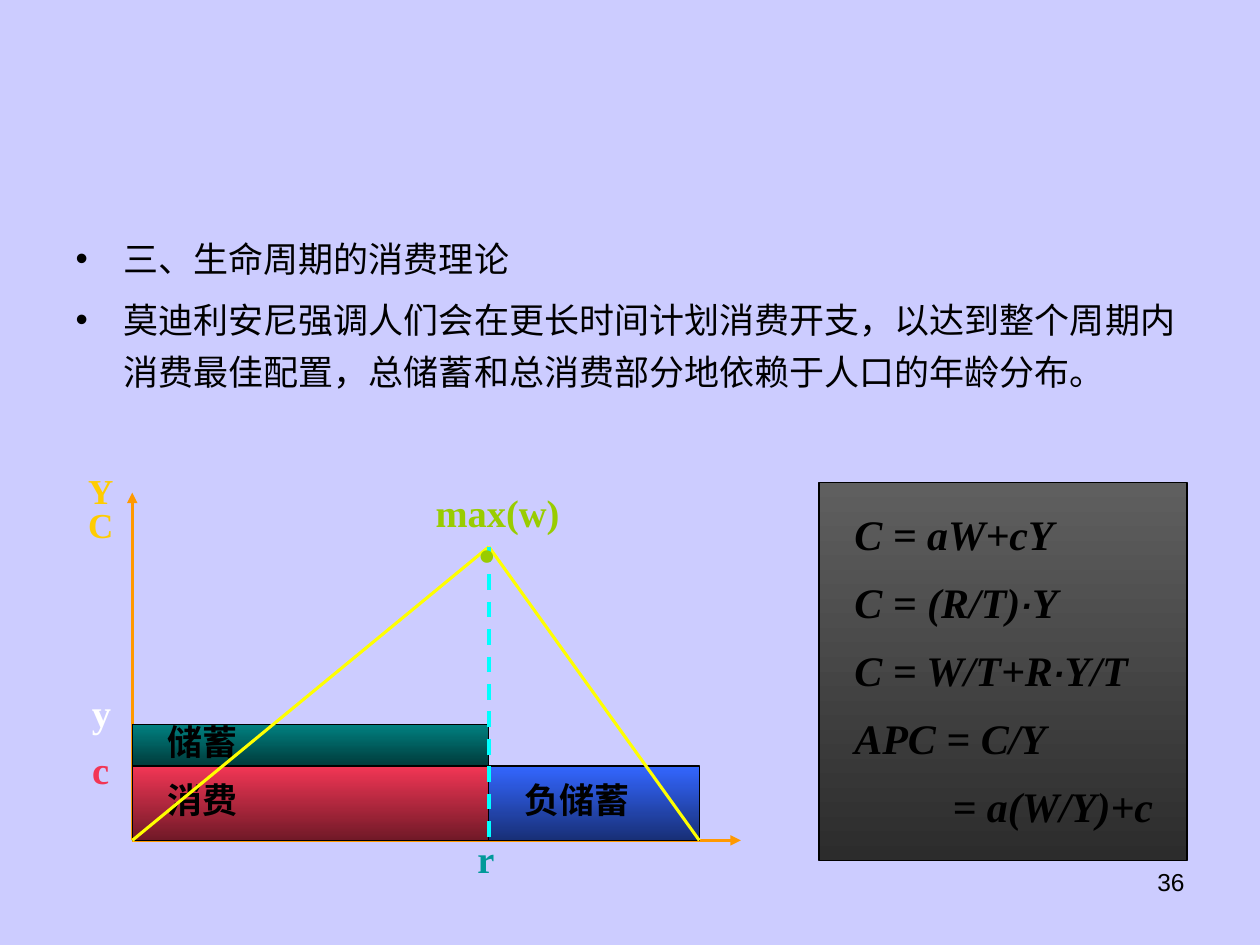
from lxml import etree
from pptx import Presentation
from pptx.dml.color import RGBColor
from pptx.enum import dml, shapes, text
from pptx.oxml.ns import qn
from pptx.util import Inches, Pt

BACKGROUND = RGBColor(0xCC, 0xCC, 0xFF)
BLACK = RGBColor(0, 0, 0)
WHITE = RGBColor(0xFF, 0xFF, 0xFF)
ORANGE = RGBColor(0xFF, 0x99, 0x00)
GOLD = RGBColor(0xFF, 0xCC, 0x00)
YELLOW = RGBColor(0xFF, 0xFF, 0x00)
CYAN = RGBColor(0x00, 0xFF, 0xFF)
LIME = RGBColor(0x99, 0xCC, 0x00)
SEA = RGBColor(0x00, 0x99, 0x99)
RED, DARK_RED = RGBColor(0xF2, 0x36, 0x55), RGBColor(0x70, 0x19, 0x27)
TEAL, DARK_TEAL = RGBColor(0x00, 0x80, 0x80), RGBColor(0x00, 0x3B, 0x3B)
BLUE, DARK_BLUE = RGBColor(0x33, 0x66, 0xFF), RGBColor(0x18, 0x2F, 0x76)
GREY, DARK_GREY = RGBColor(0x5F, 0x5F, 0x5F), RGBColor(0x2C, 0x2C, 0x2C)

SANS, SERIF = "Arial", "Times New Roman"
PLAIN_INSETS = (0.1, 0.05, 0.1, 0.05)
DEEP_INSETS = (0.28, 0, 0.04, 0.17)


def style_font(font, size, color, name=SERIF, bold=True, italic=False):
    font.size, font.name = Pt(size), name
    font.bold, font.italic = bold, italic
    font.color.rgb = color


def set_insets(frame, insets):
    (frame.margin_left, frame.margin_top,
     frame.margin_right, frame.margin_bottom) = map(Inches, insets)


def add_label(slide, box, lines, size, color, name=SERIF, bold=True, wrap=True,
              align=text.PP_ALIGN.LEFT, spacing=1.0, insets=PLAIN_INSETS):
    frame = slide.shapes.add_textbox(*map(Inches, box)).text_frame
    frame.word_wrap = wrap
    set_insets(frame, insets)
    frame.text = lines
    for paragraph in frame.paragraphs:
        paragraph.alignment = align
        paragraph.line_spacing = spacing
        style_font(paragraph.font, size, color, name, bold)


def add_panel(slide, box, top_color, bottom_color):
    panel = slide.shapes.add_shape(shapes.MSO_SHAPE.RECTANGLE, *map(Inches, box))
    panel.shadow.inherit = False
    panel.fill.gradient()
    panel.fill.gradient_angle = 270
    for stop, color in zip(panel.fill.gradient_stops, (top_color, bottom_color)):
        stop.color.rgb = color
    panel.line.color.rgb = BLACK
    panel.line.width = Pt(0.75)
    frame = panel.text_frame
    frame.word_wrap = True
    frame.vertical_anchor = text.MSO_ANCHOR.MIDDLE
    set_insets(frame, DEEP_INSETS)
    return frame


def add_bar(slide, box, caption, top_color, bottom_color):
    paragraph = add_panel(slide, box, top_color, bottom_color).paragraphs[0]
    paragraph.text = caption
    paragraph.alignment = text.PP_ALIGN.LEFT
    paragraph.line_spacing = 1.35
    style_font(paragraph.font, 20, BLACK, SANS)


def add_line(slide, start, end, color, width=1.75, arrow=False, dashed=False):
    connector = slide.shapes.add_connector(
        shapes.MSO_CONNECTOR.STRAIGHT, *map(Inches, (*start, *end)))
    connector.line.color.rgb = color
    connector.line.width = Pt(width)
    if dashed:
        connector.line.dash_style = dml.MSO_LINE.DASH
    if arrow:
        etree.SubElement(connector.line._get_or_add_ln(), qn("a:tailEnd"), type="triangle")
    etree.SubElement(connector._element.spPr, qn("a:effectLst"))


def fill_theory_list(slide, box, points):
    body = slide.placeholders[1]
    body.left, body.top, body.width, body.height = map(Inches, box)
    frame = body.text_frame
    frame.text = "\n".join(points)
    frame.auto_size = text.MSO_AUTO_SIZE.NONE
    for paragraph in frame.paragraphs:
        paragraph.line_spacing = 1.25
        paragraph.space_before = Pt(5)
        style_font(paragraph.font, 20, BLACK, SANS, bold=False)
        properties = paragraph._p.get_or_add_pPr()
        properties.set("marL", str(Inches(0.38)))
        properties.set("indent", str(-Inches(0.38)))


def draw_life_cycle(slide, left, top, width, height):
    base = top + height
    retirement, death = left + 2.83, left + 4.5
    consumption, income = base - 0.59, base - 0.92
    peak = top + 0.43
    center = text.PP_ALIGN.CENTER

    add_line(slide, (left, base), (left + width, base), ORANGE, arrow=True)
    add_line(slide, (left, base), (left, top), ORANGE, arrow=True)
    add_label(slide, (left - 0.63, top - 0.12, 0.52, 0.7), "Y\nC", 20, GOLD,
              wrap=False, align=center, spacing=0.8, insets=DEEP_INSETS)
    add_bar(slide, (left, income, retirement - left, consumption - income),
            "储蓄", TEAL, DARK_TEAL)
    add_bar(slide, (retirement, consumption, death - retirement, base - consumption),
            "负储蓄", BLUE, DARK_BLUE)
    add_label(slide, (left - 0.42, income - 0.33, 0.35, 0.47), "y", 22, WHITE, wrap=False)
    add_label(slide, (left - 0.5, consumption - 0.21, 0.5, 0.47), "c", 22, RED, align=center)
    add_bar(slide, (left, consumption, retirement - left, base - consumption),
            "消费", RED, DARK_RED)

    add_label(slide, (retirement - 0.19, base - 0.09, 0.58, 0.47), "r", 22, SEA)
    add_label(slide, (retirement - 0.52, peak - 0.51, 1.18, 0.47), "max(w)", 22, LIME, wrap=False)
    add_line(slide, (left, base), (retirement, peak), YELLOW)
    add_line(slide, (retirement, peak), (death, base), YELLOW)
    add_line(slide, (retirement, peak), (retirement, base), CYAN, 2.25, dashed=True)
    add_label(slide, (retirement - 0.39, peak - 0.62, 0.47, 1.2), "·", 44, LIME,
              align=center, spacing=1.4, insets=DEEP_INSETS)


def write_formulas(slide, box, formulas):
    frame = add_panel(slide, box, GREY, DARK_GREY)
    for index, formula in enumerate(formulas):
        paragraph = frame.add_paragraph() if index else frame.paragraphs[0]
        paragraph.alignment = text.PP_ALIGN.LEFT
        paragraph.line_spacing = 1.35
        before, dot, after = formula.partition("·")
        for part in filter(None, (before, dot, after)):
            run = paragraph.add_run()
            run.text = part
            size, name = (20, SANS) if part == "·" else (24, SERIF)
            style_font(run.font, size, BLACK, name, italic=True)
        if formula.startswith("="):
            paragraph._p.get_or_add_pPr().set("marL", str(Inches(0.78)))


def main():
    deck = Presentation()
    deck.slide_width, deck.slide_height = Inches(10), Inches(7.5)
    slide = deck.slides.add_slide(deck.slide_layouts[1])
    slide.background.fill.solid()
    slide.background.fill.fore_color.rgb = BACKGROUND
    title = slide.shapes.title._element
    title.getparent().remove(title)

    fill_theory_list(slide, (0.5, 1.75, 9, 4.95), (
        "三、生命周期的消费理论",
        "莫迪利安尼强调人们会在更长时间计划消费开支，以达到整个周期内消费最佳配置，"
        "总储蓄和总消费部分地依赖于人口的年龄分布。",
    ))
    add_label(slide, (7.17, 6.83, 2.33, 0.52), "36", 14, BLACK, SANS, bold=False,
              align=text.PP_ALIGN.RIGHT)
    draw_life_cycle(slide, 1.05, 3.91, 4.83, 2.76)
    write_formulas(slide, (6.5, 3.83, 2.92, 3), (
        "C = aW+cY", "C = (R/T)·Y", "C = W/T+R·Y/T", "APC = C/Y", "= a(W/Y)+c"))
    deck.save("out.pptx")


if __name__ == "__main__":
    main()
